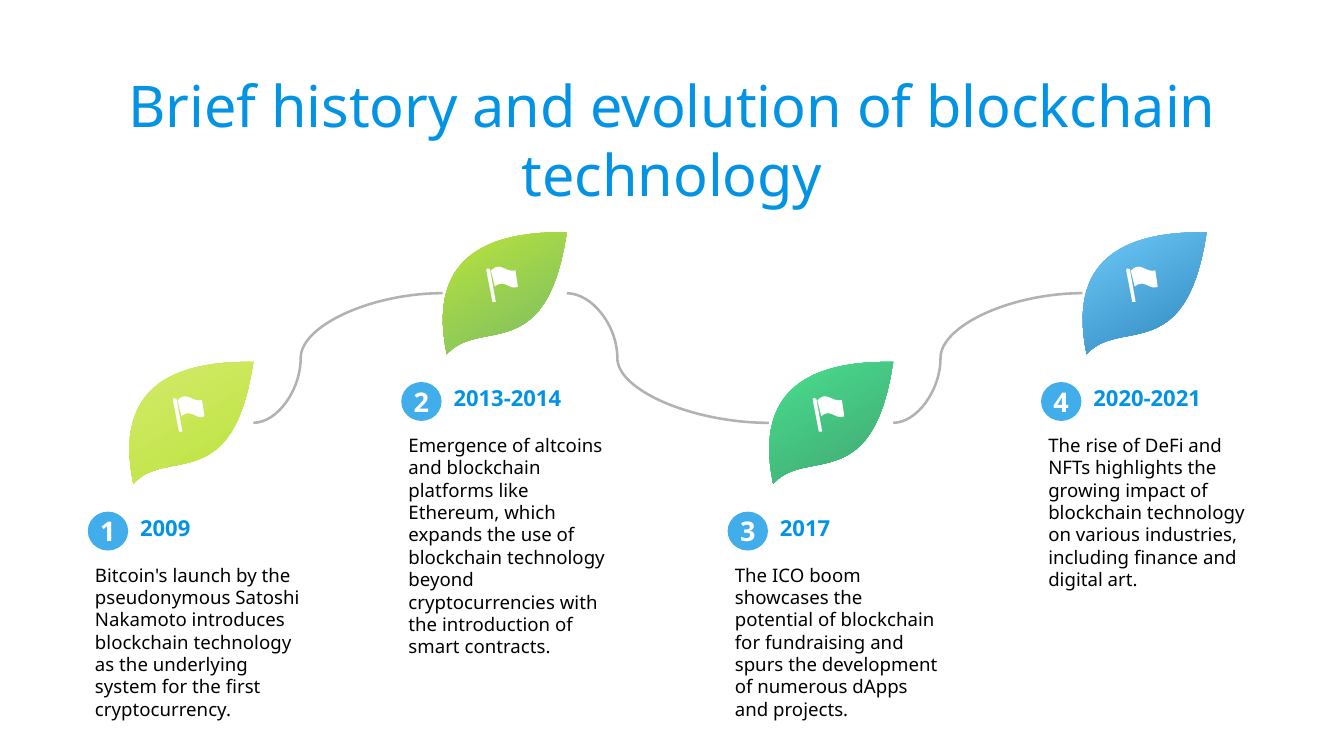
"""Build a four-stage timeline slide on the history of blockchain."""
from dataclasses import dataclass

import lxml.etree
import pptx
import pptx.dml.color
import pptx.enum.shapes
import pptx.enum.text
import pptx.oxml.ns
import pptx.util

Cm = pptx.util.Cm
ANCHOR = pptx.enum.text.MSO_ANCHOR
ALIGN = pptx.enum.text.PP_ALIGN

TITLE = "Brief history and evolution of blockchain technology"
LOW, HIGH = 7.54, 4.84
STAGES = [
    {"year": "2009", "left": 1.73, "top": LOW, "height": 3.5, "colors": ("D4EA6B", "BBE33D"),
     "body": "Bitcoin's launch by the pseudonymous Satoshi Nakamoto introduces blockchain technology "
             "as the underlying system for the first cryptocurrency."},
    {"year": "2013-2014", "left": 8.26, "top": HIGH, "height": 4.9, "colors": ("BBE33D", "77BC65"),
     "body": "Emergence of altcoins and blockchain platforms like Ethereum, which expands the use of "
             "blockchain technology beyond cryptocurrencies with the introduction of smart contracts."},
    {"year": "2017", "left": 15.06, "top": LOW, "height": 3.5, "colors": ("49DE8F", "41A671"),
     "body": "The ICO boom showcases the potential of blockchain for fundraising and spurs the "
             "development of numerous dApps and projects."},
    {"year": "2020-2021", "left": 21.59, "top": HIGH, "height": 3.5, "colors": ("6FC8FA", "2D88BB"),
     "body": "The rise of DeFi and NFTs highlights the growing impact of blockchain technology on "
             "various industries, including finance and digital art."},
]


@dataclass(frozen=True)
class Theme:
    """Hold the colours, font and type sizes of the slide."""
    font: str = "Noto Sans"
    accent: str = "0393E4"
    badge: str = "41AEEB"
    path_line: str = "B2B2B2"
    text: str = "000000"
    white: str = "FFFFFF"
    title_size: int = 34
    badge_size: int = 16
    year_size: int = 13
    body_size: int = 11


THEME = Theme()
LEAF_INDENT, LEAF_WIDTH, LEAF_MIDDLE = 0.96, 2.59, 1.27


def rgb(value):
    """Return a colour object for a hex value."""
    return pptx.dml.color.RGBColor.from_string(value)


def curve(start, first, second, end, steps=24):
    """Return points along a cubic curve."""
    return [tuple((1 - t) ** 3 * a + 3 * (1 - t) ** 2 * t * b + 3 * (1 - t) * t ** 2 * c + t ** 3 * d
                  for a, b, c, d in zip(start, first, second, end))
            for t in (step / steps for step in range(steps + 1))]


LEAF = [curve((0.09, 2.54), (0.78, 1.76), (2.17, 2.82), (2.59, 0))
        + curve((2.43, 0), (0.61, 0.01), (-0.28, 0.77), (0.09, 2.54))]
FLAG = [curve((0.1, 0.08), (0.3, -0.13), (0.4, 0.13), (0.61, 0.07))
        + curve((0.66, 0.41), (0.49, 0.5), (0.39, 0.24), (0.18, 0.41)),
        [(0, 0.06), (0.03, 0.03), (0.08, 0.05), (0.2, 0.73), (0.13, 0.73)]]


def add_outline(slide, contours, left, top):
    """Draw closed contours as one borderless freeform."""
    placed = [[(Cm(left + x), Cm(top + y)) for x, y in contour] for contour in contours]
    builder = slide.shapes.build_freeform(*placed[0][0])
    for index, points in enumerate(placed):
        if index:
            builder.move_to(*points[0])
        builder.add_line_segments(points[1:], close=True)
    shape = builder.convert_to_shape()
    shape.shadow.inherit = False
    shape.line.fill.background()
    return shape


def write(shape, text, size, color, bold=False, align=ALIGN.LEFT, anchor=ANCHOR.TOP, wrap=True):
    """Put formatted text in a shape."""
    frame = shape.text_frame
    frame.text = text
    frame.word_wrap = wrap
    frame.auto_size = pptx.enum.text.MSO_AUTO_SIZE.NONE
    frame.vertical_anchor = anchor
    frame.margin_left = frame.margin_right = Cm(0.25)
    frame.margin_top = frame.margin_bottom = Cm(0.13)
    paragraph = frame.paragraphs[0]
    paragraph.alignment = align
    font = paragraph.runs[0].font
    font.name, font.size, font.bold = THEME.font, pptx.util.Pt(size), bold
    font.color.rgb = rgb(color)


def add_text(slide, left, top, width, height, *content, **style):
    """Add a text box measured in centimetres."""
    write(slide.shapes.add_textbox(Cm(left), Cm(top), Cm(width), Cm(height)), *content, **style)


def add_stage(slide, number, stage):
    """Draw the leaf, flag, badge and texts of one stage."""
    left, top = stage["left"], stage["top"]
    leaf = add_outline(slide, LEAF, left + LEAF_INDENT, top)
    leaf.fill.gradient()
    leaf.fill.gradient_angle = 300
    for stop, color in zip(leaf.fill.gradient_stops, stage["colors"]):
        stop.color.rgb = rgb(color)
    flag = add_outline(slide, FLAG, left + LEAF_INDENT + 0.91, top + 0.72)
    flag.fill.solid()
    flag.fill.fore_color.rgb = rgb(THEME.white)
    badge = slide.shapes.add_shape(pptx.enum.shapes.MSO_SHAPE.OVAL,
                                   Cm(left + 0.1), Cm(top + 3.12), Cm(0.84), Cm(0.81))
    badge.shadow.inherit = False
    badge.fill.solid()
    badge.fill.fore_color.rgb = rgb(THEME.badge)
    badge.line.fill.background()
    write(badge, str(number), THEME.badge_size, THEME.white, bold=True,
          align=ALIGN.CENTER, anchor=ANCHOR.MIDDLE, wrap=False)
    add_text(slide, left + 0.94, top + 3.05, 3.89, 0.81,
             stage["year"], THEME.year_size, THEME.accent, bold=True)
    add_text(slide, left, top + 4.07, 4.83, stage["height"],
             stage["body"], THEME.body_size, THEME.text)


def add_path(slide, stage, following):
    """Link two neighbouring leaves with a curved line."""
    connector = slide.shapes.add_connector(
        pptx.enum.shapes.MSO_CONNECTOR.CURVE,
        Cm(stage["left"] + LEAF_INDENT + LEAF_WIDTH), Cm(stage["top"] + LEAF_MIDDLE),
        Cm(following["left"] + LEAF_INDENT), Cm(following["top"] + LEAF_MIDDLE))
    connector.line.color.rgb = rgb(THEME.path_line)
    connector.line.width = pptx.util.Pt(1.5)
    qn = pptx.oxml.ns.qn
    properties = connector.element.spPr
    lxml.etree.SubElement(properties, qn("a:effectLst"))
    adjustments = properties.find(".//" + qn("a:avLst"))
    lxml.etree.SubElement(adjustments, qn("a:gd"), name="adj1", fmla="val 25000")


def main():
    """Assemble and save the slide."""
    presentation = pptx.Presentation()
    presentation.slide_width, presentation.slide_height = Cm(28), Cm(15.75)
    slide = presentation.slides.add_slide(presentation.slide_layouts[5])
    title = slide.shapes.title
    title.left, title.top, title.width, title.height = Cm(0), Cm(1.32), Cm(28), Cm(3.12)
    write(title, TITLE, THEME.title_size, THEME.accent, align=ALIGN.CENTER)
    for number, stage in enumerate(STAGES, 1):
        add_stage(slide, number, stage)
    for stage, following in zip(STAGES, STAGES[1:]):
        add_path(slide, stage, following)
    presentation.save("out.pptx")


if __name__ == "__main__":
    main()
